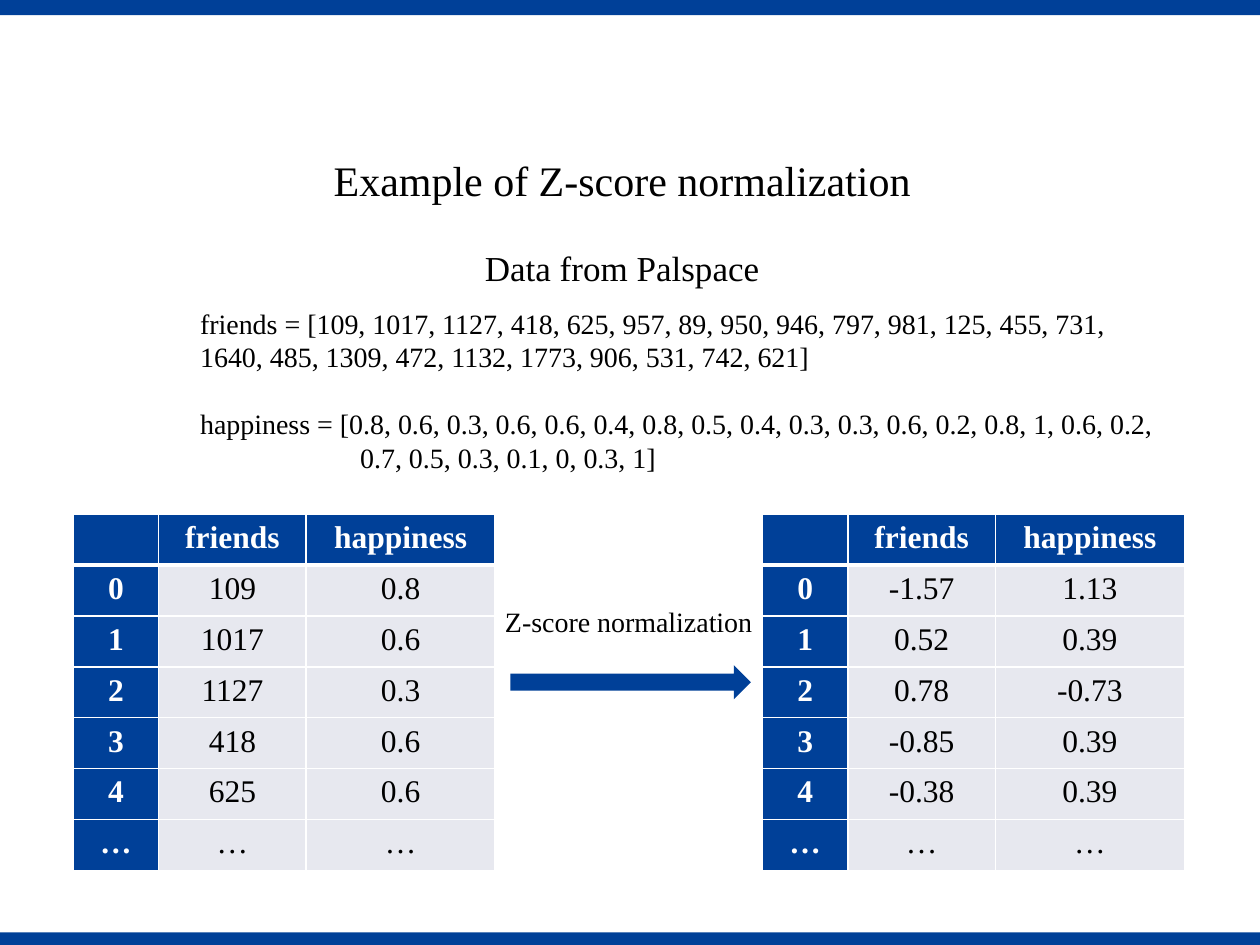
"""Build the Z-score normalization slide with raw and normalized data tables."""
from lxml import etree
from pptx import Presentation
from pptx import util as u
from pptx.dml.color import RGBColor
from pptx.enum import shapes, text
from pptx.oxml.ns import qn

COLORS = {"blue": "004098", "pale": "E7E8EF", "white": "FFFFFF", "black": "000000"}
FONT = "Times New Roman"


def add_run(para, wording, size, color="black", bold=False):
    span = para.add_run()
    span.text = wording
    span.font.name = FONT
    span.font.size = u.Pt(size)
    span.font.bold = bold
    span.font.color.rgb = RGBColor.from_string(COLORS[color])


def set_border(cell, side, points):
    line = etree.SubElement(cell._tc.get_or_add_tcPr(), qn(f"a:ln{side}"), w=str(u.Pt(points)))
    fill = etree.SubElement(line, qn("a:solidFill"))
    etree.SubElement(fill, qn("a:srgbClr"), val=COLORS["white"])


deck = Presentation()
deck.slide_width = u.Inches(10)
deck.slide_height = u.Inches(7.5)
page = deck.slides.add_slide(deck.slide_layouts[6])

solid_shapes = [
    (shapes.MSO_SHAPE.RECTANGLE, 0, 7.4, 10, 0.1),
    (shapes.MSO_SHAPE.RECTANGLE, 0, 0, 10, 0.12),
    (shapes.MSO_SHAPE.RIGHT_ARROW, 4.05, 5.28, 1.91, 0.27),
]
for kind, *place in solid_shapes:
    shape = page.shapes.add_shape(kind, *map(u.Inches, place))
    shape.shadow.inherit = False
    shape.fill.solid()
    shape.fill.fore_color.rgb = RGBColor.from_string(COLORS["blue"])
    shape.line.fill.background()

labels = [
    ("Example of Z-score normalization", 24, True, 2.55, 1.18, 4.9, 0.5),
    ("Data from Palspace", 20, False, 3.75, 1.91, 2.51, 0.44),
    ("Z-score normalization", 16, False, 3.91, 4.75, 2.2, 0.37),
]
for wording, size, wraps, *place in labels:
    box = page.shapes.add_textbox(*map(u.Inches, place))
    box.text_frame.word_wrap = wraps
    add_run(box.text_frame.paragraphs[0], wording, size)

data_lists = [
    (0, 0, "friends = [109, 1017, 1127, 418, 625, 957, 89, 950, 946, 797, 981, 125, 455, 731,",
     "1640, 485, 1309, 472, 1132, 1773, 906, 531, 742, 621]"),
    (1.27, 19.2, "happiness = [0.8, 0.6, 0.3, 0.6, 0.6, 0.4, 0.8, 0.5, 0.4, 0.3, 0.3, 0.6, 0.2, 0.8, 1, 0.6, 0.2,",
     "0.7, 0.5, 0.3, 0.1, 0, 0.3, 1]"),
]
box = page.shapes.add_textbox(u.Inches(1.49), u.Inches(2.38), u.Inches(7.76), u.Inches(1.45))
frame = box.text_frame
frame.word_wrap = True
frame.margin_right = u.Inches(0.05)
for index, (hanging, gap, first_line, second_line) in enumerate(data_lists):
    para = frame.add_paragraph() if index else frame.paragraphs[0]
    para.line_spacing = u.Pt(19.2)
    para.space_before = u.Pt(gap)
    properties = para._p.get_or_add_pPr()
    properties.set("marL", str(u.Inches(hanging)))
    properties.set("indent", str(-u.Inches(hanging)))
    add_run(para, first_line, 16)
    para.add_line_break()
    add_run(para, second_line, 16)

header = ("", "friends", "happiness")
row_names = ("0", "1", "2", "3", "4", "…")
raw = [("109", "0.8"), ("1017", "0.6"), ("1127", "0.3"), ("418", "0.6"), ("625", "0.6"), ("…", "…")]
normalized = [("-1.57", "1.13"), ("0.52", "0.39"), ("0.78", "-0.73"),
              ("-0.85", "0.39"), ("-0.38", "0.39"), ("…", "…")]
for left, values in ((0.58, raw), (6.05, normalized)):
    rows = [header] + [(name, *pair) for name, pair in zip(row_names, values)]
    table = page.shapes.add_table(len(rows), len(header), u.Inches(left), u.Inches(4.08),
                                  u.Inches(3.35), u.Inches(2.83)).table
    table.first_col = True
    table.horz_banding = False
    for column, width in zip(table.columns, (0.68, 1.17, 1.5)):
        column.width = u.Inches(width)
    for r, row in enumerate(rows):
        for c, wording in enumerate(row):
            cell = table.cell(r, c)
            is_heading = r == 0 or c == 0
            for side in "LRTB":
                under_header = (r, side) in ((0, "B"), (1, "T"))
                set_border(cell, side, 3 if under_header else 1)
            cell.fill.solid()
            cell.fill.fore_color.rgb = RGBColor.from_string(COLORS["blue" if is_heading else "pale"])
            para = cell.text_frame.paragraphs[0]
            para.alignment = text.PP_ALIGN.CENTER
            if wording:
                add_run(para, wording, 18, "white" if is_heading else "black", is_heading)

deck.save("out.pptx")
